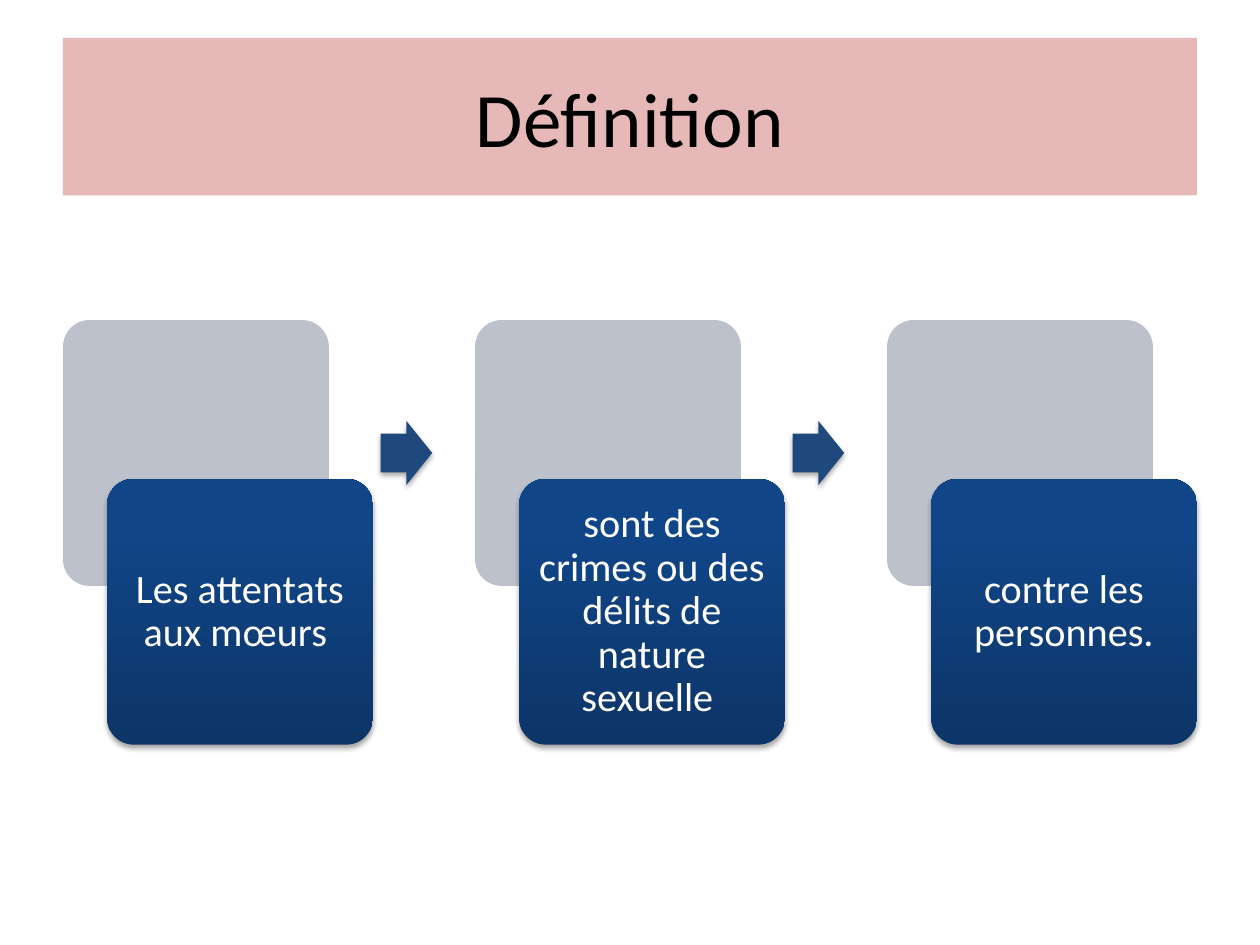
from copy import deepcopy

from pptx import Presentation
from pptx.dml.color import RGBColor
from pptx.enum.shapes import MSO_SHAPE
from pptx.enum.text import MSO_ANCHOR, PP_ALIGN
from pptx.oxml import parse_xml
from pptx.oxml.ns import nsdecls, qn
from pptx.util import Inches, Pt

RECT = MSO_SHAPE.RECTANGLE
ROUND = MSO_SHAPE.ROUNDED_RECTANGLE
ARROW = MSO_SHAPE.RIGHT_ARROW
MIDDLE = MSO_ANCHOR.MIDDLE
CENTER = PP_ALIGN.CENTER

PINK = RGBColor(0xE6, 0xB9, 0xB8)
GREY = RGBColor(0xBD, 0xC1, 0xCC)
NAVY = RGBColor(0x1F, 0x49, 0x7D)
BLACK = RGBColor(0, 0, 0)
WHITE = RGBColor(0xFF, 0xFF, 0xFF)
STOPS = [
    (0, RGBColor(0x0D, 0x35, 0x68)),
    (0.8, RGBColor(0x10, 0x45, 0x87)),
    (1, RGBColor(0x0E, 0x45, 0x8A)),
]

STEPS = [
    "Les attentats aux mœurs ",
    "sont des crimes ou des délits de nature sexuelle ",
    "contre les personnes.",
]
LEFT, PITCH, SIDE = 0.5, 3.27, 2.11


def add_shape(slide, kind, box, color=None, adjust=()):
    shape = slide.shapes.add_shape(kind, *map(Inches, box))
    shape.shadow.inherit = False
    shape.line.fill.background()
    if color is not None:
        shape.fill.solid()
        shape.fill.fore_color.rgb = color
    for i, value in enumerate(adjust):
        shape.adjustments[i] = value
    return shape


def add_shadow(shape):
    effects = shape._element.spPr.find(qn("a:effectLst"))
    effects.append(parse_xml(
        f'<a:outerShdw {nsdecls("a")} blurRad="{Pt(3.1)}" dist="{Pt(1.8)}" '
        'dir="5400000" rotWithShape="0"><a:srgbClr val="000000">'
        '<a:alpha val="35000"/></a:srgbClr></a:outerShdw>'))


def add_blend(shape):
    shape.fill.gradient()
    shape.fill.gradient_angle = 90
    # A new gradient has two stops; this one needs a third
    stops = shape._element.spPr.find(qn("a:gradFill")).find(qn("a:gsLst"))
    stops.append(deepcopy(stops[0]))
    for stop, (place, color) in zip(shape.fill.gradient_stops, STOPS):
        stop.position = place
        stop.color.rgb = color


def set_text(shape, text, size, color, inset, spacing=1.0):
    frame = shape.text_frame
    margin = Inches(inset)
    form = {"word_wrap": True, "vertical_anchor": MIDDLE,
            "margin_left": margin, "margin_right": margin,
            "margin_top": margin, "margin_bottom": margin}
    for name, value in form.items():
        setattr(frame, name, value)
    para = frame.paragraphs[0]
    para.alignment = CENTER
    para.line_spacing = spacing
    run = para.add_run()
    run.text = text
    for name, value in {"name": "Calibri", "size": Pt(size)}.items():
        setattr(run.font, name, value)
    run.font.color.rgb = color


def add_step(slide, x, text):
    add_shape(slide, ROUND, (x, 2.54, SIDE, SIDE), GREY, [0.1])
    card = add_shape(slide, ROUND, (x + 0.35, 3.8, SIDE, SIDE), adjust=[0.1])
    add_blend(card)
    add_shadow(card)
    # The rounded corners add to the inset
    set_text(card, text, 23, WHITE, 0.04, 0.9)


def add_arrow(slide, x):
    arrow = add_shape(slide, ARROW, (x, 3.34, 0.41, 0.51), NAVY, [0.6, 0.5])
    add_shadow(arrow)


def main():
    deck = Presentation()
    deck.slide_width, deck.slide_height = Inches(10), Inches(7.5)
    slide = deck.slides.add_slide(deck.slide_layouts[6])

    # Title band
    title = add_shape(slide, RECT, (0.5, 0.3, 9, 1.25), PINK)
    set_text(title, " Définition ", 44, BLACK, 0.05)

    # Steps, with an arrow between neighbours
    for i, text in enumerate(STEPS):
        x = LEFT + i * PITCH
        add_step(slide, x, text)
        if i < len(STEPS) - 1:
            add_arrow(slide, x + 2.52)

    deck.save("out.pptx")


if __name__ == "__main__":
    main()
